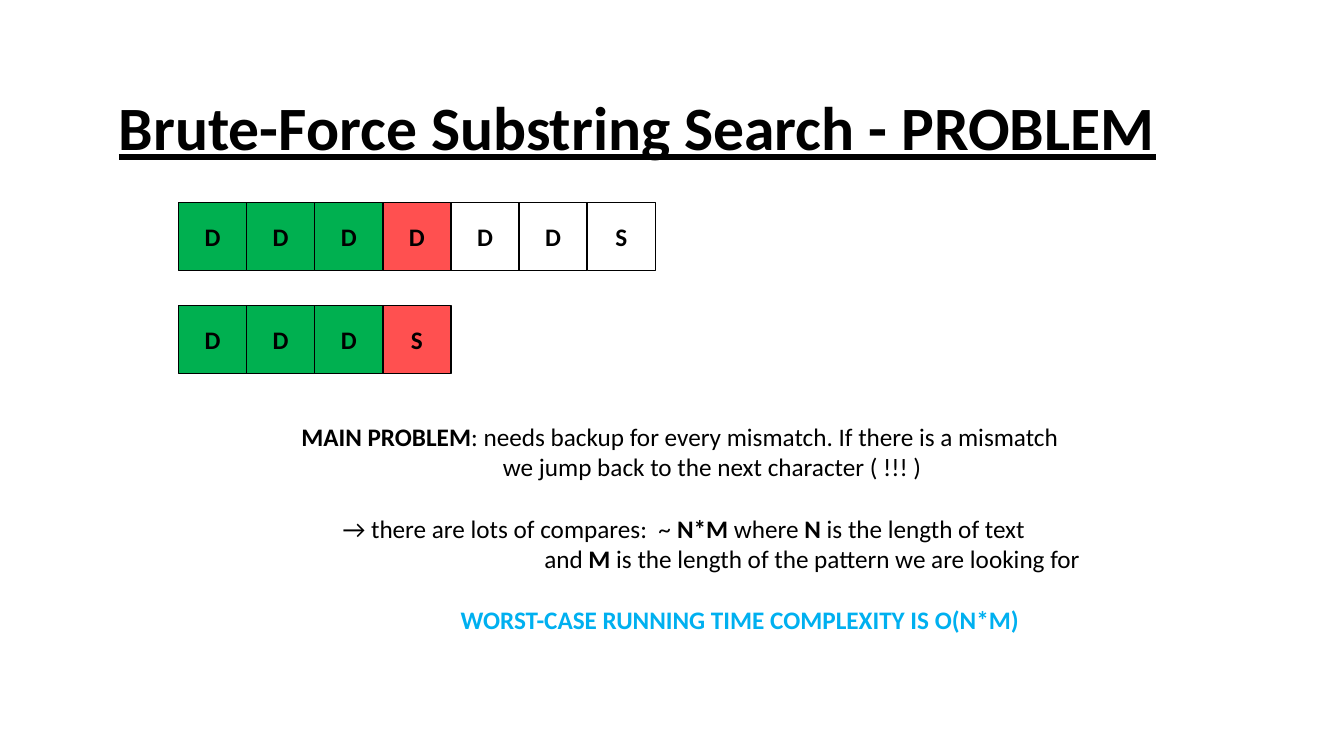
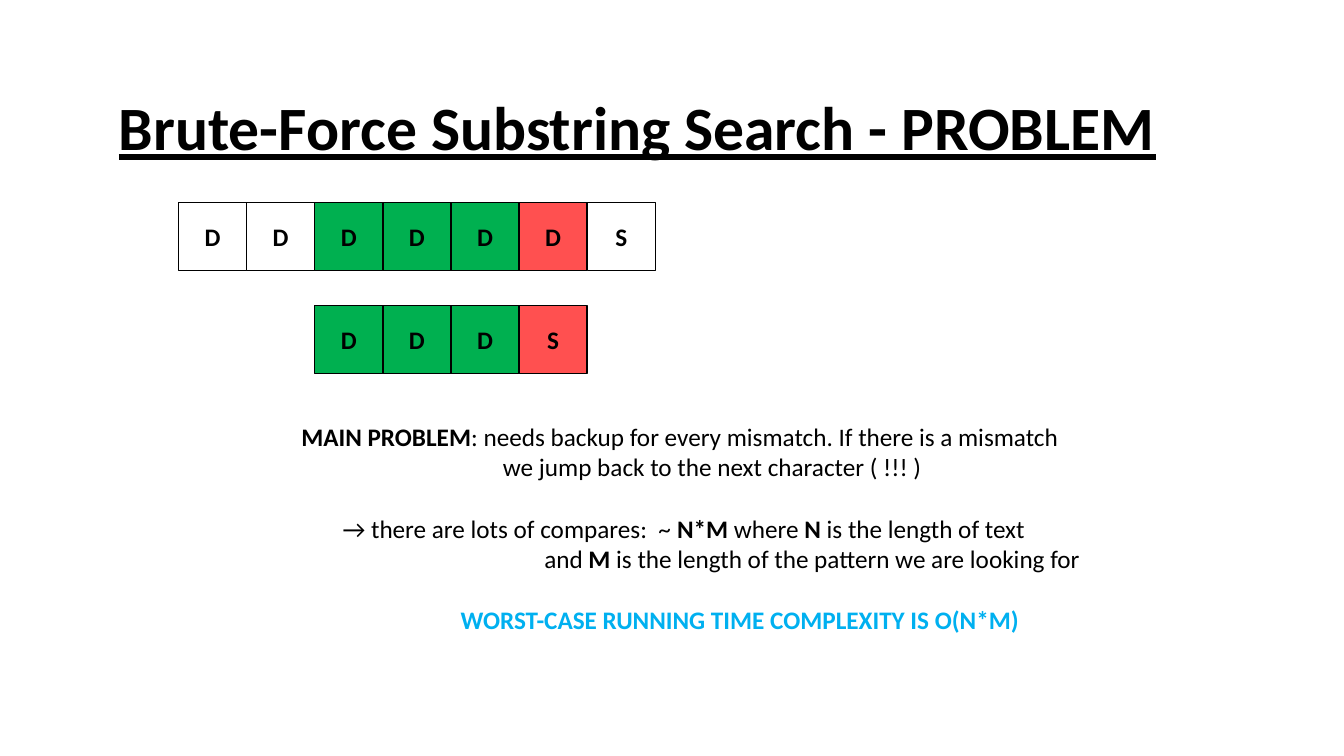
from pptx import Presentation
from pptx.dml.color import RGBColor
from pptx.enum import shapes, text
from pptx.util import Inches, Pt

FONT = "Calibri"
BLACK, WHITE, BLUE = "000000", "FFFFFF", "00B0F0"
MATCH, MISMATCH = "00B050", "FF5050"
STATE_FILLS = {"=": MATCH, "x": MISMATCH, ".": WHITE}

TEXT, PATTERN = "DDDDDDS", "DDDS"
ROW_LEFT, TEXT_TOP, PATTERN_TOP = 1.77, 2.01, 3.03
CELL = 4.73 / len(TEXT)

# A paragraph is (indent in inches, space before in points, colour, runs);
# a run is (words, bold).
BLANK_LINE = 22
PROBLEM = [
    (1, 0, BLACK, [
        ("MAIN PROBLEM", True),
        (": needs backup for every mismatch. If there is a mismatch", False)]),
    (3, 0, BLACK, [("we jump back to the next character ( !!! )", False)]),
]
COST = [
    (0, 0, BLACK, [
        ("→ there are lots of compares:  ~ ", False), ("N*M", True),
        (" where ", False), ("N", True), (" is the length of text", False)]),
    (2, 0, BLACK, [
        ("and", False), (" M", True),
        (" is the length of the pattern we are looking for", False)]),
    (1.17, BLANK_LINE, BLUE, [
        ("WORST-CASE RUNNING TIME COMPLEXITY IS O(N*M)", True)]),
]


def rgb(hex_colour):
    return RGBColor.from_string(hex_colour)


def add_run(paragraph, words, size=18, bold=False, colour=BLACK):
    run = paragraph.add_run()
    run.text = words
    run.font.name = FONT
    run.font.size = Pt(size)
    run.font.bold = bold
    run.font.color.rgb = rgb(colour)
    return run


def add_title(slide, words):
    title = slide.shapes.title
    title.left, title.top = Inches(1.08), Inches(0.57)
    title.width, title.height = Inches(11.5), Inches(1.45)
    frame = title.text_frame
    frame.auto_size = text.MSO_AUTO_SIZE.NONE
    frame.vertical_anchor = text.MSO_ANCHOR.MIDDLE
    heading = frame.paragraphs[0]
    heading.alignment = text.PP_ALIGN.LEFT
    heading.line_spacing = 0.9
    add_run(heading, words, size=44, bold=True).font.underline = True


def add_cell(slide, left, top, letter, fill):
    cell = slide.shapes.add_shape(
        shapes.MSO_SHAPE.RECTANGLE,
        Inches(left), Inches(top), Inches(CELL), Inches(CELL))
    cell.shadow.inherit = False
    cell.fill.solid()
    cell.fill.fore_color.rgb = rgb(fill)
    cell.line.color.rgb = rgb(BLACK)
    cell.line.width = Pt(1)
    cell.text_frame.vertical_anchor = text.MSO_ANCHOR.MIDDLE
    label = cell.text_frame.paragraphs[0]
    label.alignment = text.PP_ALIGN.CENTER
    add_run(label, letter, bold=True)


def add_letter_row(slide, top, letters, states, shift=0):
    """Draw one cell per letter, starting shift cells from the left."""
    for column, (letter, state) in enumerate(zip(letters, states), shift):
        add_cell(slide, ROW_LEFT + column * CELL, top, letter,
                 STATE_FILLS[state])


def add_notes_block(slide, left, top, width, height, paragraphs):
    box = slide.shapes.add_textbox(
        Inches(left), Inches(top), Inches(width), Inches(height))
    frame = box.text_frame
    frame.word_wrap = True
    for number, (indent, space, colour, runs) in enumerate(paragraphs):
        paragraph = frame.add_paragraph() if number else frame.paragraphs[0]
        paragraph._p.get_or_add_pPr().set("marL", str(Inches(indent)))
        if space:
            paragraph.space_before = Pt(space)
        for words, bold in runs:
            add_run(paragraph, words, bold=bold, colour=colour)


def add_search_slide(deck, shift):
    """Show the pattern compared with the text after shift moves."""
    slide = deck.slides.add_slide(deck.slide_layouts[5])
    add_title(slide, "Brute-Force Substring Search - PROBLEM")
    compared = "===x"
    text_states = ("." * shift + compared).ljust(len(TEXT), ".")
    add_letter_row(slide, TEXT_TOP, TEXT, text_states)
    add_letter_row(slide, PATTERN_TOP, PATTERN, compared, shift)
    add_notes_block(slide, 1.89, 4.13, 8.86, 0.71, PROBLEM)
    add_notes_block(slide, 3.3, 5.04, 7.84, 1.31, COST)


def main():
    deck = Presentation()
    deck.slide_width, deck.slide_height = Inches(13.33), Inches(7.5)
    for shift in (0, 2):
        add_search_slide(deck, shift)
    deck.save("out.pptx")


if __name__ == "__main__":
    main()
